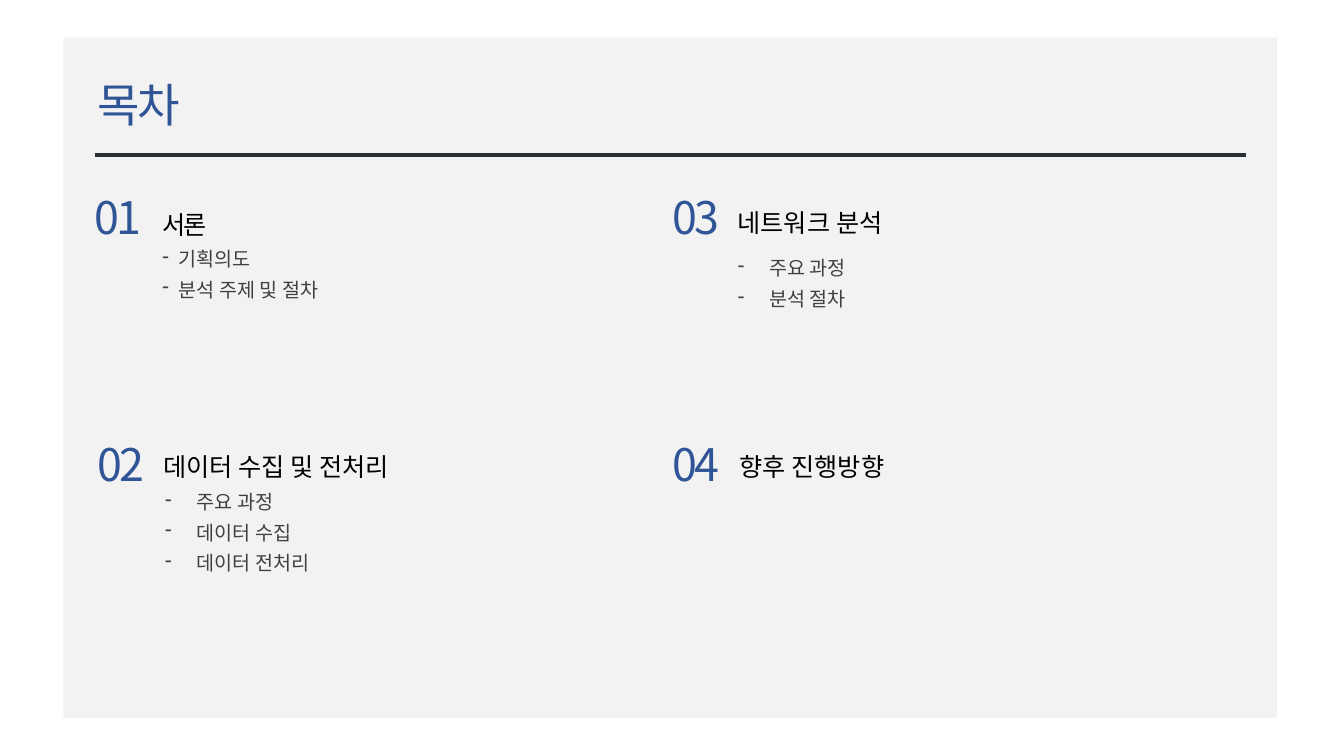
from dataclasses import dataclass

from lxml.etree import SubElement
from pptx import Presentation
from pptx.dml.color import RGBColor
from pptx.enum.shapes import MSO_CONNECTOR, MSO_SHAPE
from pptx.enum.text import MSO_ANCHOR, MSO_AUTO_SIZE, PP_ALIGN
from pptx.oxml.ns import qn
from pptx.util import Cm, Pt


@dataclass(frozen=True)
class TextStyle:
    size: float
    color: str
    tracking: float = 0
    line_spacing: float = 1.0


@dataclass(frozen=True)
class Theme:
    font: str = "Noto Sans CJK KR"
    panel: str = "F2F2F2"
    rule: str = "282F34"
    title: TextStyle = TextStyle(33, "2F5597", -2)
    number: TextStyle = TextStyle(32, "2F5597", -2)
    heading: TextStyle = TextStyle(18, "000000", 0, 1.3)
    tight_heading: TextStyle = TextStyle(18, "000000", -1.5, 1.3)
    item: TextStyle = TextStyle(14, "404040", 0, 1.3)


@dataclass(frozen=True)
class Section:
    """One entry of the contents; positions are (left, top) in cm."""
    number: str
    number_at: tuple[float, float]
    heading: str
    heading_at: tuple[float, float]
    items: tuple[str, ...] = ()
    items_at: tuple[float, float] = (0, 0)
    indent: float = 0.79
    heading_style: TextStyle = Theme.heading


THEME = Theme()
SECTIONS = (
    Section("01", (2.13, 4.65), "서론", (3.84, 4.93),
            ("기획의도", "분석 주제 및 절차"), (3.84, 5.92), 0.41,
            THEME.tight_heading),
    Section("02", (2.21, 10.87), "데이터 수집 및 전처리", (3.86, 11.02),
            ("주요 과정", "데이터 수집", "데이터 전처리"), (3.91, 12.04)),
    Section("03", (16.69, 4.65), "네트워크 분석", (18.34, 4.88),
            ("주요 과정", "분석 절차"), (18.34, 6.15)),
    Section("04", (16.69, 10.87), "향후 진행방향", (18.39, 11.02)),
)


def place(sp, left: float, top: float, width: float, height: float) -> None:
    sp.left, sp.top, sp.width, sp.height = map(Cm, (left, top, width, height))


def write(sp, text: str, style: TextStyle) -> None:
    tf = sp.text_frame
    tf.text = text
    tf.word_wrap = True
    tf.auto_size = MSO_AUTO_SIZE.NONE
    tf.vertical_anchor = MSO_ANCHOR.TOP
    for p in tf.paragraphs:
        p.alignment = PP_ALIGN.LEFT
        p.line_spacing = style.line_spacing
        p.space_before = Pt(0)
        for r in p.runs:
            r.font.size = Pt(style.size)
            r.font.bold = False
            r.font.color.rgb = RGBColor.from_string(style.color)
            r.font.name = THEME.font
            rPr = r._r.get_or_add_rPr()
            rPr.set("spc", str(int(style.tracking * 100)))
            SubElement(rPr, qn("a:ea"), typeface=THEME.font)


def add_label(s, text: str, at: tuple[float, float], width: float,
              height: float, style: TextStyle) -> None:
    sp = s.shapes.add_textbox(0, 0, 0, 0)
    place(sp, *at, width, height)
    write(sp, text, style)


def fill_list(sp, section: Section) -> None:
    place(sp, *section.items_at, 6.07, 0.18 + 0.79 * len(section.items))
    write(sp, "\n".join(section.items), THEME.item)
    indent = Cm(section.indent)
    for p in sp.text_frame.paragraphs:
        pPr = p._p.get_or_add_pPr()
        pPr.set("marL", str(indent))
        pPr.set("indent", str(-indent))
        SubElement(pPr, qn("a:buFontTx"))
        SubElement(pPr, qn("a:buChar"), char="-")


def add_panel(s) -> None:
    """Draw the grey panel behind everything else."""
    sp = s.shapes.add_shape(MSO_SHAPE.RECTANGLE, 0, 0, 0, 0)
    place(sp, 1.6, 0.94, 30.58, 17.15)
    sp.shadow.inherit = False
    sp.fill.solid()
    sp.fill.fore_color.rgb = RGBColor.from_string(THEME.panel)
    sp.line.fill.background()
    sp.element.getparent().insert(2, sp.element)


def add_rule(s) -> None:
    line = s.shapes.add_connector(MSO_CONNECTOR.STRAIGHT, Cm(2.39), Cm(3.91),
                                  Cm(31.39), Cm(3.91))
    line.line.color.rgb = RGBColor.from_string(THEME.rule)
    line.line.width = Pt(3)
    SubElement(line.element.spPr, qn("a:effectLst"))


def main() -> None:
    prs = Presentation()
    prs.slide_width, prs.slide_height = Cm(33.87), Cm(19.05)
    s = prs.slides.add_slide(prs.slide_layouts.get_by_name("Comparison"))
    title, *bodies = s.placeholders

    add_panel(s)
    place(title, 2.21, 1.8, 10.39, 1.68)
    write(title, "목차", THEME.title)
    add_rule(s)

    for section, body in zip(SECTIONS, bodies):
        add_label(s, section.number, section.number_at, 2.26, 1.63,
                  THEME.number)
        add_label(s, section.heading, section.heading_at, 11.3, 1.19,
                  section.heading_style)
        if section.items:
            fill_list(body, section)
        else:
            body.element.getparent().remove(body.element)

    prs.save("out.pptx")


if __name__ == "__main__":
    main()
